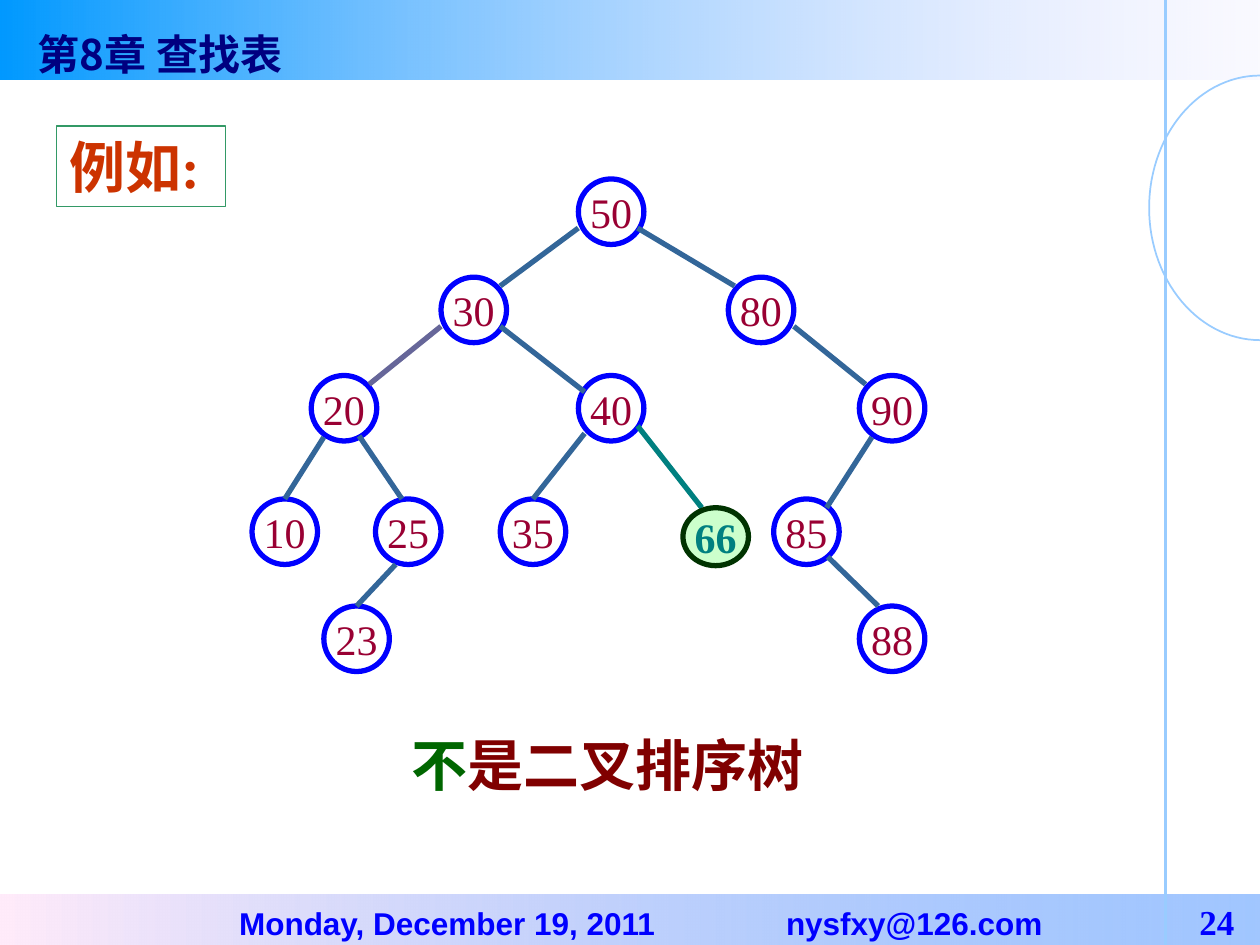
"""Build a slide that shows a binary tree which is not a search tree."""
from math import cos, pi, sin
from lxml.etree import SubElement
from pptx import Presentation
from pptx.dml.color import RGBColor as RGB
from pptx.enum.shapes import MSO_CONNECTOR as LINK, MSO_SHAPE as SHAPE
from pptx.enum.text import MSO_ANCHOR as ANCHOR, PP_ALIGN as ALIGN
from pptx.oxml.ns import qn
from pptx.util import Inches, Pt

NAVY = RGB(0x00, 0x00, 0x80)
BLUE = RGB(0x00, 0x00, 0xFF)
SKY = RGB(0x99, 0xCC, 0xFF)
LILAC = RGB(0xCC, 0xCC, 0xFF)
AZURE = RGB(0x00, 0x99, 0xFF)
PINK = RGB(0xFF, 0xEB, 0xFA)
SOFT = RGB(0x5E, 0x9E, 0xFF)
GREEN = RGB(0x33, 0x99, 0x66)
LEAF = RGB(0x00, 0x66, 0x00)
PINE = RGB(0x00, 0x33, 0x00)
MINT = RGB(0xCC, 0xFF, 0xCC)
TEAL = RGB(0x00, 0x80, 0x80)
RUST = RGB(0xCC, 0x33, 0x00)
MAROON = RGB(0x80, 0x00, 0x00)
WINE = RGB(0x99, 0x00, 0x33)
STEEL = RGB(0x33, 0x66, 0x99)
SLATE = RGB(0x66, 0x66, 0x99)
SERIF = "Times New Roman"


def style(font, size, color, bold=True, name=SERIF):
    font.size, font.bold, font.name = Pt(size), bold, name
    font.color.rgb = color


def draw_line(x1, y1, x2, y2, color, width):
    line = shapes.add_connector(
        LINK.STRAIGHT, Inches(x1), Inches(y1), Inches(x2), Inches(y2))
    line.line.color.rgb = color
    line.line.width = Pt(width)
    SubElement(line._element.spPr, qn("a:effectLst"))


deck = Presentation()
deck.slide_width, deck.slide_height = Inches(10), Inches(7.5)
slide = deck.slides.add_slide(deck.slide_layouts[5])
shapes = slide.shapes

bars = []
for top, height, angle, stops in [
    (0, 0.63, 180, [(LILAC, 10), (AZURE, 100)]),
    (7.1, 0.43, 0, [(PINK, 100), (SOFT, 58)]),
]:
    bar = shapes.add_shape(
        SHAPE.RECTANGLE, 0, Inches(top), Inches(10), Inches(height))
    bar.shadow.inherit = False
    bar.line.fill.background()
    bar.fill.gradient()
    bar.fill.gradient_angle = angle
    for stop, (color, alpha) in zip(bar.fill.gradient_stops, stops):
        stop.color.rgb = color
        if alpha < 100:
            tint = stop._gs.find(qn("a:srgbClr"))
            SubElement(tint, qn("a:alpha"), val=str(alpha * 1000))
    bars.append(bar)

turns = [pi / 2 + pi * i / 60 for i in range(61)]
points = [(Inches(10 + 0.88 * cos(t)), Inches(1.65 - 1.05 * sin(t)))
          for t in turns]
path = shapes.build_freeform(*points[0])
path.add_line_segments(points[1:], close=False)
arc = path.convert_to_shape()
arc.shadow.inherit = False
arc.fill.background()
arc.line.color.rgb = SKY
arc.line.width = Pt(1)
draw_line(9.25, 0, 9.25, 7.5, SKY, 1.5)

frame = bars[1].text_frame
frame.word_wrap = True
frame.vertical_anchor = ANCHOR.MIDDLE
para = frame.paragraphs[0]
para.alignment = ALIGN.LEFT
tabs = SubElement(para._p.get_or_add_pPr(), qn("a:tabLst"))
for pos in (1.8, 6.14, 9.42):
    SubElement(tabs, qn("a:tab"), pos=str(Inches(pos)), algn="l")
for text, size, name in [
    ("\tMonday, December 19, 2011\tnysfxy@126.com", 18, "Arial"),
    ("\t24", 20, SERIF),
]:
    run = para.add_run()
    run.text = text
    style(run.font, size, BLUE, name=name)

title = shapes.title
shapes._spTree.append(title._element)
title.left, title.top = Inches(0.2), Inches(0.18)
title.width, title.height = Inches(2.33), Inches(0.34)
frame = title.text_frame
frame.text = "第8章 查找表"
frame.word_wrap = False
frame.vertical_anchor = ANCHOR.TOP
para = frame.paragraphs[0]
para.alignment = ALIGN.LEFT
style(para.font, 24, NAVY, name="Noto Sans CJK SC")

label = shapes.add_textbox(Inches(0.45), Inches(1), Inches(1.34), Inches(0.64))
label.line.color.rgb = GREEN
label.line.width = Pt(0.75)
label.text_frame.text = "例如:"
style(label.text_frame.paragraphs[0].font, 32, RUST)

verdict = shapes.add_textbox(
    Inches(3.17), Inches(5.75), Inches(3.42), Inches(0.64))
verdict.text_frame.word_wrap = True
for text, color in [("不", LEAF), ("是二叉排序树", MAROON)]:
    run = verdict.text_frame.paragraphs[0].add_run()
    run.text = text
    style(run.font, 32, color)

edges = [
    (4.59, 1.81, 3.97, 2.27, STEEL), (3.5, 2.59, 2.93, 3.05, SLATE),
    (5.06, 1.81, 5.83, 2.27, STEEL), (3.97, 2.59, 4.64, 3.11, STEEL),
    (2.57, 3.47, 2.26, 3.96, STEEL), (2.85, 3.46, 3.19, 3.96, STEEL),
    (3.14, 4.48, 2.83, 4.81, STEEL), (4.64, 3.44, 4.23, 3.96, STEEL),
    (6.3, 2.59, 6.87, 3.05, STEEL), (6.92, 3.47, 6.56, 4.03, STEEL),
    (6.57, 4.42, 6.97, 4.81, STEEL), (5.06, 3.38, 5.57, 4.03, TEAL),
]
levels = [
    (1.42, [(50, 4.59)]),
    (2.2, [(30, 3.5), (80, 5.78)]),
    (2.98, [(20, 2.47), (40, 4.59), (90, 6.82)]),
    (3.96, [(10, 2), (25, 2.98), (35, 3.97), (85, 6.14)]),
    (4.81, [(23, 2.57), (88, 6.82)]),
    (4.03, [(66, 5.42)]),
]
for top, nodes in levels:
    for key, left in nodes:
        odd = key == 66
        if odd:
            for edge in edges:
                draw_line(*edge, 3)
        node = shapes.add_shape(
            SHAPE.OVAL, Inches(left), Inches(top),
            Inches(0.52), Inches(0.46 if odd else 0.52))
        node.shadow.inherit = False
        if odd:
            node.fill.solid()
            node.fill.fore_color.rgb = MINT
        else:
            node.fill.background()
        node.line.color.rgb = PINE if odd else BLUE
        node.line.width = Pt(3)
        frame = node.text_frame
        frame.text = str(key)
        frame.word_wrap = False
        frame.vertical_anchor = ANCHOR.MIDDLE
        para = frame.paragraphs[0]
        para.alignment = ALIGN.CENTER
        style(para.font, 24, TEAL if odd else WINE, bold=odd)

deck.save("out.pptx")
